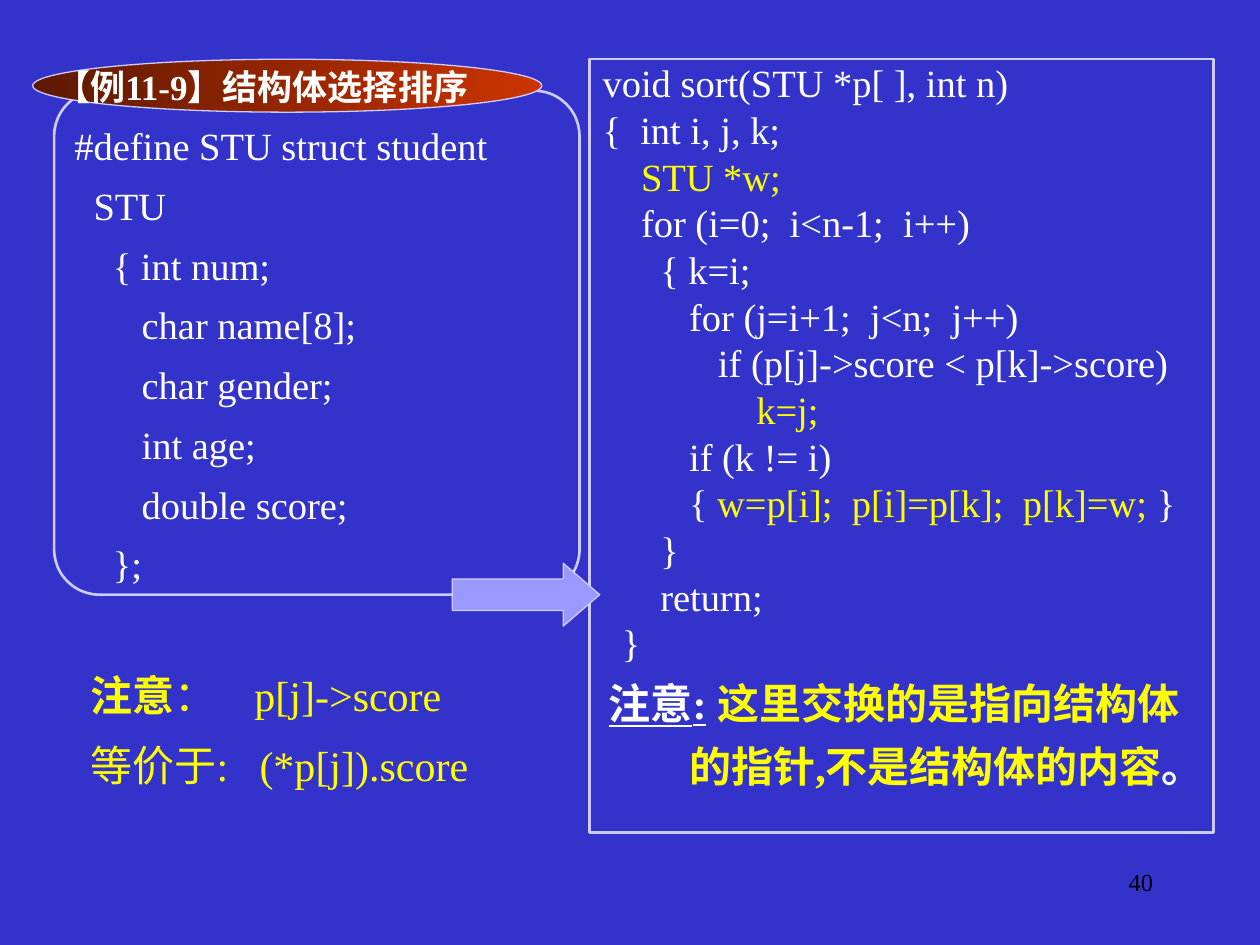
import pptx
import pptx.util
import pptx.dml.color
import pptx.enum.lang
import pptx.enum.shapes
import pptx.enum.text
import pptx.oxml.ns
import lxml.etree

Inches, Pt = pptx.util.Inches, pptx.util.Pt
SHAPE = pptx.enum.shapes.MSO_SHAPE
ALIGN = pptx.enum.text.PP_ALIGN
CHINESE = pptx.enum.lang.MSO_LANGUAGE_ID.SIMPLIFIED_CHINESE

COLORS = {
    "back": "3333CC", "white": "FFFFFF", "yellow": "FFFF00", "black": "000000",
    "edge": "CCCCFF", "arrow": "9999FF", "dark": "5E1800", "red": "CC3300",
}


def shade(name):
    return pptx.dml.color.RGBColor.from_string(COLORS[name])


class Page:
    """Holds the current slide and its text style."""

    font = "Times New Roman"

    def __init__(self, slide):
        self.slide = slide
        fill = slide.background.fill
        fill.solid()
        fill.fore_color.rgb = shade("back")

    def shape(self, kind, box, fills=(), width=0.75, adjust=()):
        """Draw a preset shape: no fill, one colour, or a two-colour gradient."""
        item = self.slide.shapes.add_shape(kind, *map(Inches, box))
        item.shadow.inherit = False
        for place, value in enumerate(adjust):
            item.adjustments[place] = value
        if len(fills) == 2:
            item.fill.gradient()
            item.fill.gradient_angle = 0
            for stop, name, spot in zip(item.fill.gradient_stops, fills, (0, 1)):
                stop.color.rgb = shade(name)
                stop.position = spot
        elif fills:
            item.fill.solid()
            item.fill.fore_color.rgb = shade(fills[0])
        else:
            item.fill.background()
        item.line.color.rgb = shade("edge")
        item.line.width = Pt(width)

    def text(self, box, inset=(0.1, 0.05)):
        """Add an empty text box and return its frame."""
        frame = self.slide.shapes.add_textbox(*map(Inches, box)).text_frame
        frame.word_wrap = True
        frame.margin_left = frame.margin_right = Inches(inset[0])
        frame.margin_top = frame.margin_bottom = Inches(inset[1])
        return frame

    def line(self, frame, runs, size, before=0, pitch=None, indent=0, tab=None, align=None):
        """Add a paragraph; each run is (text, colour, bold, underline)."""
        first = frame.paragraphs[0]
        para = frame.add_paragraph() if first.runs else first
        if first.runs:
            para.space_before = Pt(before)
        if pitch:
            para.line_spacing = Pt(pitch)
        if align is not None:
            para.alignment = align
        props = para._p.get_or_add_pPr()
        if indent:
            props.set("marL", str(Inches(indent)))
        if tab:
            tabs = lxml.etree.SubElement(props, pptx.oxml.ns.qn("a:tabLst"))
            stop = lxml.etree.SubElement(tabs, pptx.oxml.ns.qn("a:tab"))
            stop.set("pos", str(Inches(tab)))
            stop.set("algn", "l")
        for words, color, bold, under in runs:
            run = para.add_run()
            run.text = words
            font = run.font
            font.name, font.size = self.font, Pt(size)
            font.bold, font.underline = bold, under
            font.color.rgb = shade(color)
            font.language_id = CHINESE

    def code(self, frame, lines, before, pitch=None):
        """Add code lines; parts of a line alternate between white and yellow."""
        for parts in lines:
            runs = [(part, ("white", "yellow")[place % 2], False, False)
                    for place, part in enumerate(parts)]
            self.line(frame, runs, 22, before, pitch)


STRUCT = [
    ("  #define STU struct student",),
    ("    STU",),
    ("      { int num;",),
    ("         char name[8];",),
    ("         char gender;",),
    ("         int age;",),
    ("         double score;",),
    ("      };",),
]
SORT = [
    ("  void sort(STU *p[ ], int n)",),
    ("  {  int i, j, k;",),
    ("      ", "STU *w;"),
    ("      for (i=0;  i<n-1;  i++)",),
    ("        { k=i;",),
    ("           for (j=i+1;  j<n;  j++)",),
    ("              if (p[j]->score < p[k]->score)",),
    ("                  ", "k=j;"),
    ("           if (k != i)",),
    ("           { ", "w=p[i];  p[i]=p[k];  p[k]=w; ", "}"),
    ("        }",),
    ("        return;",),
    ("    }",),
]


def main():
    deck = pptx.Presentation()
    deck.slide_width, deck.slide_height = Inches(10), Inches(7.5)
    page = Page(deck.slides.add_slide(deck.slide_layouts[6]))

    struct = page.text((0.34, 0.89, 4.33, 3.84), (0.1, 0.08))
    page.code(struct, STRUCT, 7.75)
    page.shape(SHAPE.ROUNDED_RECTANGLE, (0.43, 0.72, 4.17, 4), width=1.5, adjust=[0.09])
    page.shape(SHAPE.OVAL, (0.26, 0.47, 4.04, 0.42), ("dark", "red"))
    title = page.text((0.34, 0.47, 3.63, 0.43))
    page.line(title, [("【例11-9】结构体选择排序", "white", True, False)], 20)

    sort = page.text((4.59, 0.56, 5.41, 6.03), (0.04, 0))
    page.code(sort, SORT, 6.67, 20)
    page.line(sort, [("注意:", "white", True, True), (" ", "white", True, False),
                     ("这里交换的是指向结构体", "yellow", True, False)], 24, 7, indent=0.2)
    page.line(sort, [("的指针,不是结构体的内容", "yellow", True, False),
                     ("。", "white", True, False)], 24, 7, indent=0.84)
    page.shape(SHAPE.RECTANGLE, (4.68, 0.47, 4.95, 6.14), width=1.5)
    page.shape(SHAPE.RIGHT_ARROW, (3.59, 4.47, 1.17, 0.5), ["arrow"], adjust=[0.5, 0.58])

    note = page.text((0.68, 5.31, 3.14, 1.01), (0.04, 0))
    page.line(note, [("注意", "yellow", True, False),
                     ("：\tp[j]->score", "yellow", False, False)], 24, tab=1.3)
    page.line(note, [("等价于:\t(*p[j]).score", "yellow", False, False)], 24, 11.7, tab=1.34)

    number = page.text((7.17, 6.83, 2.08, 0.5))
    page.line(number, [("40", "black", False, False)], 14, align=ALIGN.RIGHT)
    deck.save("out.pptx")


if __name__ == "__main__":
    main()
